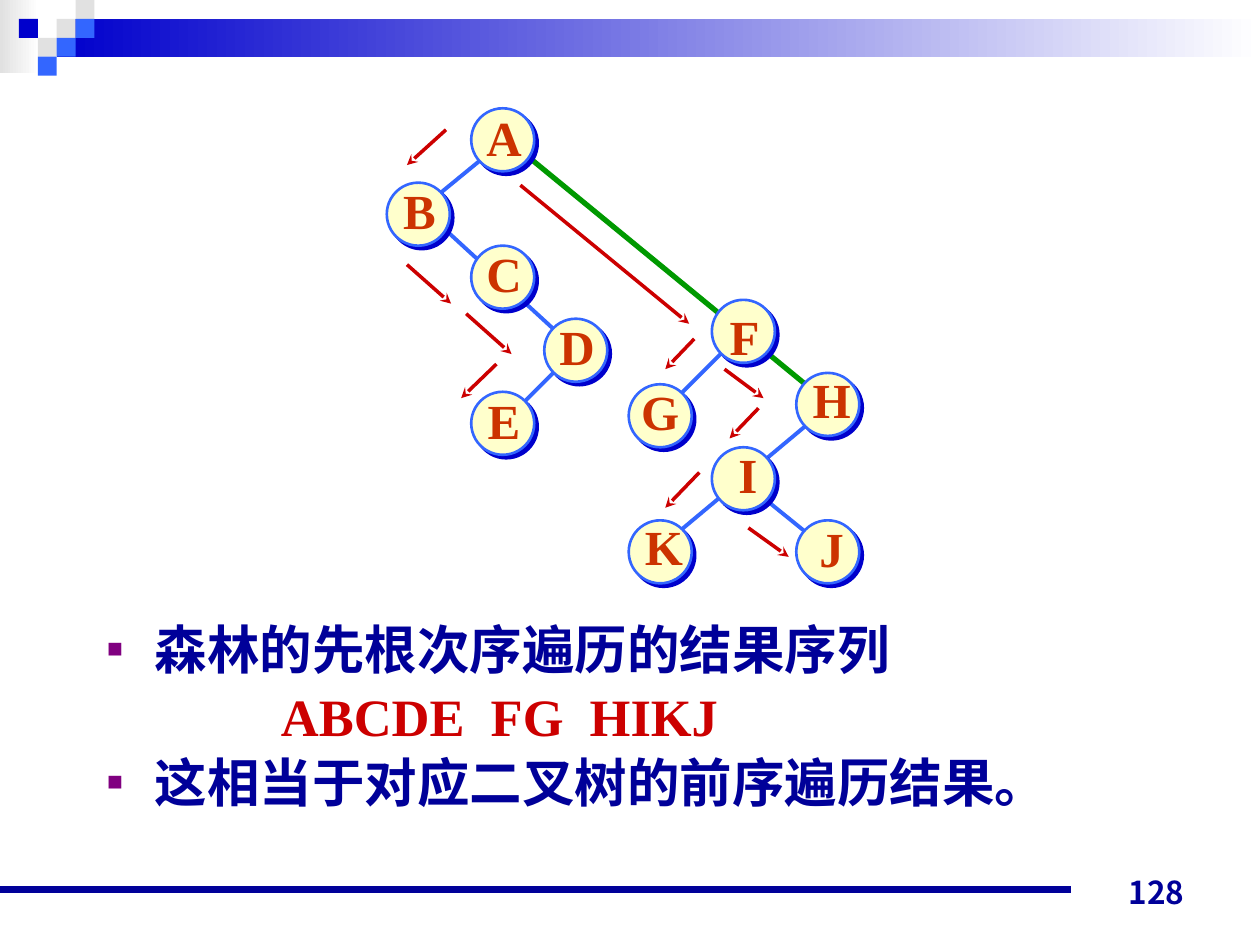
from lxml import etree
from pptx import Presentation
from pptx.dml.color import RGBColor
from pptx.enum.shapes import MSO_CONNECTOR, MSO_SHAPE
from pptx.enum.text import MSO_ANCHOR, MSO_AUTO_SIZE, PP_ALIGN
from pptx.oxml.ns import qn
from pptx.util import Inches, Pt

STRAIGHT = MSO_CONNECTOR.STRAIGHT
RECTANGLE, OVAL = MSO_SHAPE.RECTANGLE, MSO_SHAPE.OVAL
MIDDLE, BOTTOM, TOP = MSO_ANCHOR.MIDDLE, MSO_ANCHOR.BOTTOM, MSO_ANCHOR.TOP
CENTER, RIGHT, LEFT = PP_ALIGN.CENTER, PP_ALIGN.RIGHT, PP_ALIGN.LEFT
NO_AUTOFIT = MSO_AUTO_SIZE.NONE

COLORS = {
    "white": "FFFFFF", "grey": "E1E1E1", "blue": "0000CC", "sky": "3366FF",
    "navy": "000099", "red": "CC0000", "letter": "CC3300", "green": "009900",
    "cream": "FFFFCC", "purple": "800080",
}
SERIF, SANS = "Times New Roman", "Noto Sans CJK JP"
NODE_SIZE, LABEL_HEIGHT = 0.5, 0.57
SQUARE = 0.15

# Left and top of each band, its width and height, and its starting colour
BANDS = [(0, 0, 0.31, 0.58, "grey"), (0.45, 0.15, 9.55, 0.3, "blue")]
# Column and row of each small square in the corner, and its colour
SQUARES = [
    (3, 1, "grey"), (4, 0, "grey"), (4, 1, "sky"), (2, 2, "grey"),
    (1, 1, "blue"), (3, 2, "sky"), (2, 3, "sky"),
]
# Left and top of the circle, then the label's left, top and width
NODES = {
    "A": (3.74, 0.86, 3.76, 0.80, 0.48),
    "B": (3.07, 1.45, 3.10, 1.38, 0.46),
    "C": (3.74, 1.95, 3.76, 1.88, 0.48),
    "D": (4.32, 2.53, 4.34, 2.46, 0.48),
    "E": (3.74, 3.11, 3.77, 3.05, 0.46),
    "F": (5.65, 2.38, 5.69, 2.38, 0.44),
    "G": (4.99, 3.05, 4.99, 2.98, 0.50),
    "H": (6.32, 2.96, 6.35, 2.88, 0.50),
    "I": (5.65, 3.55, 5.76, 3.48, 0.35),
    "J": (6.32, 4.13, 6.40, 4.06, 0.40),
    "K": (4.99, 4.13, 5.02, 4.05, 0.50),
}
ROOT_EDGE = (4.15, 1.21, 6.49, 3.13)
EDGES = [
    (4.49, 2.86, 4.07, 3.28), (3.4, 1.7, 4.49, 2.7), (3.9, 1.2, 3.4, 1.61),
    (6.07, 3.96, 6.49, 4.3), (6.49, 3.3, 5.4, 4.21), (5.82, 2.71, 5.32, 3.21),
]
VISIT_ARROWS = [
    (3.54, 1.03, 3.23, 1.31), (3.23, 2.1, 3.58, 2.41), (3.7, 2.49, 4.06, 2.81),
    (3.94, 2.89, 3.66, 3.16), (4.13, 1.47, 5.47, 2.57), (5.51, 2.69, 5.28, 2.93),
    (5.75, 2.93, 6.06, 3.16), (6.02, 3.24, 5.79, 3.48), (5.55, 3.75, 5.28, 4.03),
    (5.94, 4.19, 6.26, 4.42),
]
# Text, colour, whether it has a bullet
STATEMENTS = [
    ("森林的先根次序遍历的结果序列", "navy", True),
    ("ABCDE  FG  HIKJ", "red", False),
    ("这相当于对应二叉树的前序遍历结果。", "navy", True),
]


def rgb(name):
    return RGBColor.from_string(COLORS[name])


def format_paragraph(para, size, color, font, align):
    para.alignment = align
    for span in para.runs:
        span.font.size = Pt(size)
        span.font.bold = True
        span.font.name = font
        span.font.color.rgb = rgb(color)
        east_asian = etree.SubElement(span.font._element, qn("a:ea"))
        east_asian.set("typeface", SANS)


def add_block(page, left, top, width, height, color, fade=False):
    block = page.shapes.add_shape(
        RECTANGLE, Inches(left), Inches(top), Inches(width), Inches(height))
    block.shadow.inherit = False
    block.line.fill.background()
    if fade:
        block.fill.gradient()
        block.fill.gradient_angle = 0
        for stop, name in zip(block.fill.gradient_stops, (color, "white")):
            stop.color.rgb = rgb(name)
    else:
        block.fill.solid()
        block.fill.fore_color.rgb = rgb(color)


def add_line(page, ends, color, width, arrow=False):
    line = page.shapes.add_connector(STRAIGHT, *(Inches(value) for value in ends))
    line.line.color.rgb = rgb(color)
    line.line.width = Pt(width)
    if arrow:
        outline = line.line._get_or_add_ln()
        etree.SubElement(outline, qn("a:tailEnd")).set("type", "stealth")
    etree.SubElement(line._element.spPr, qn("a:effectLst"))


def add_label(page, left, top, width, height, text, size, color, font, align, anchor):
    box = page.shapes.add_textbox(
        Inches(left), Inches(top), Inches(width), Inches(height))
    frame = box.text_frame
    frame.word_wrap = align == RIGHT
    frame.vertical_anchor = anchor
    frame.text = text
    format_paragraph(frame.paragraphs[0], size, color, font, align)


def add_node(page, letter, left, top, label_left, label_top, label_width):
    circle = page.shapes.add_shape(
        OVAL, Inches(left), Inches(top), Inches(NODE_SIZE), Inches(NODE_SIZE))
    circle.fill.solid()
    circle.fill.fore_color.rgb = rgb("cream")
    circle.line.color.rgb = rgb("sky")
    circle.line.width = Pt(1.5)
    circle.shadow.inherit = False
    effects = circle._element.spPr.find(qn("a:effectLst"))
    shadow = etree.SubElement(
        effects, qn("a:outerShdw"), dist=str(Pt(2.8)), dir="2700000",
        algn="ctr", rotWithShape="0")
    etree.SubElement(shadow, qn("a:srgbClr"), val=COLORS["blue"])
    add_label(page, label_left, label_top, label_width, LABEL_HEIGHT,
              letter, 28, "letter", SERIF, CENTER, MIDDLE)


def set_bullet(para, bulleted):
    """Give a square bullet with a hanging indent, or a plain deeper indent."""
    properties = para._p.get_or_add_pPr()
    margin, hanging = (0.38, -0.38) if bulleted else (1.38, 0)
    properties.set("marL", str(Inches(margin)))
    properties.set("indent", str(Inches(hanging)))
    if not bulleted:
        etree.SubElement(properties, qn("a:buNone"))
        return
    color = etree.SubElement(properties, qn("a:buClr"))
    etree.SubElement(color, qn("a:srgbClr"), val=COLORS["purple"])
    etree.SubElement(properties, qn("a:buSzPct"), val="50000")
    etree.SubElement(properties, qn("a:buFont"), typeface=SERIF)
    etree.SubElement(properties, qn("a:buChar"), char="■")


def fill_body(body):
    body.left, body.top = Inches(0.75), Inches(4.85)
    body.width, body.height = Inches(9), Inches(2.01)
    frame = body.text_frame
    frame.auto_size = NO_AUTOFIT
    frame.vertical_anchor = TOP
    frame.text = "\n".join(text for text, _, _ in STATEMENTS)
    for index, (para, statement) in enumerate(zip(frame.paragraphs, STATEMENTS)):
        _, color, bulleted = statement
        para.space_before = Pt(2 if index else 0)
        set_bullet(para, bulleted)
        format_paragraph(para, 30, color, SERIF, LEFT)


def main():
    deck = Presentation()
    deck.slide_width, deck.slide_height = Inches(10), Inches(7.5)
    page = deck.slides.add_slide(deck.slide_layouts[1])
    title = page.shapes.title._element
    title.getparent().remove(title)

    for band in BANDS:
        add_block(page, *band, fade=True)
    for column, row, color in SQUARES:
        add_block(page, column * SQUARE, row * SQUARE, SQUARE, SQUARE, color)
    add_line(page, (0, 7.06, 8.5, 7.06), "navy", 4.5)
    add_label(page, 7.17, 6.78, 2.33, 0.5, "128", 18, "navy", SANS, RIGHT, BOTTOM)
    fill_body(page.placeholders[1])

    add_line(page, ROOT_EDGE, "green", 3)
    for edge in EDGES:
        add_line(page, edge, "sky", 2.25)
    for letter, place in NODES.items():
        add_node(page, letter, *place)
    for arrow in VISIT_ARROWS:
        add_line(page, arrow, "red", 2, arrow=True)
    deck.save("out.pptx")


if __name__ == "__main__":
    main()
